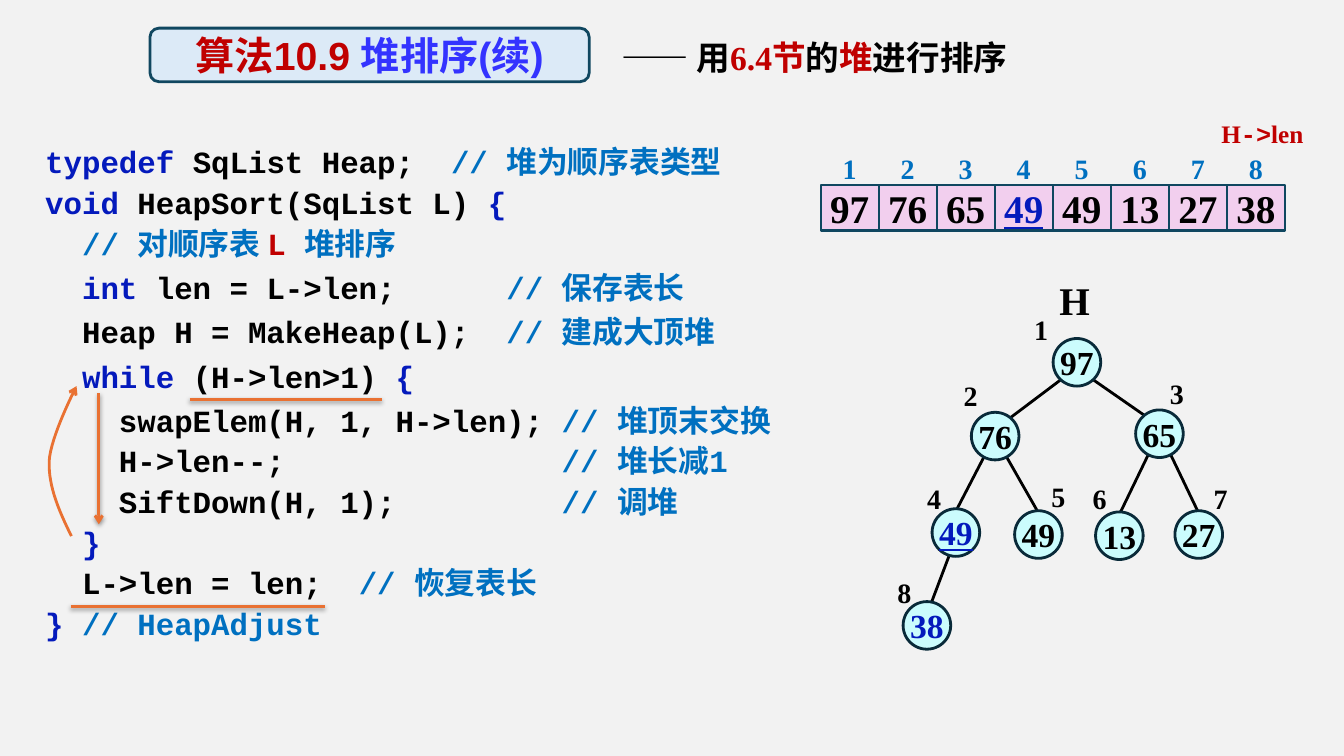
import dataclasses
import math

import lxml.etree
import pptx
import pptx.dml.color
import pptx.enum.shapes
import pptx.enum.text
import pptx.oxml.ns
import pptx.util

Cm = pptx.util.Cm
Pt = pptx.util.Pt
qn = pptx.oxml.ns.qn
Shape = pptx.enum.shapes.MSO_SHAPE
Anchor = pptx.enum.text.MSO_ANCHOR
Align = pptx.enum.text.PP_ALIGN


@dataclasses.dataclass(frozen=True)
class Theme:
    back: str = "F2F2F2"
    ink: str = "000000"
    keyword: str = "041ABC"
    note: str = "0070C0"
    accent: str = "C00000"
    heading: str = "3333FF"
    banner: str = "DCEAF7"
    border: str = "104760"
    cell: str = "F2CFEE"
    node: str = "CBFCFD"
    ring: str = "092A39"
    marker: str = "E97132"
    serif: str = "Times New Roman"
    sans: str = "Arial"
    mono: str = "Courier New"
    large: int = 28
    medium: int = 24
    code: int = 22
    index: int = 20
    small: int = 18


@dataclasses.dataclass(frozen=True)
class Box:
    left: float
    top: float
    width: float
    height: float

    def lengths(self):
        return Cm(self.left), Cm(self.top), Cm(self.width), Cm(self.height)


THEME = Theme()

CODE = [
    (1.1, [("typedef ", THEME.keyword), ("SqList Heap;  ", THEME.ink), ("// 堆为顺序表类型", THEME.note)]),
    (1.1, [("void ", THEME.keyword), ("HeapSort(SqList L) ", THEME.ink), ("{", THEME.keyword)]),
    (1.1, [("  // 对顺序表 ", THEME.note), ("L ", THEME.accent), ("堆排序", THEME.note)]),
    (1.2, [("  int ", THEME.keyword), ("len = L->len;      ", THEME.ink), ("// 保存表长", THEME.note)]),
    (1.2, [("  Heap H = MakeHeap(L);  ", THEME.ink), ("// 建成大顶堆", THEME.note)]),
    (1.2, [("  while ", THEME.keyword), ("(H->len>1) ", THEME.ink), ("{", THEME.keyword)]),
    (1.2, [("    swapElem(H, 1, H->len); ", THEME.ink), ("// 堆顶末交换", THEME.note)]),
    (1.1, [("    H->len--;               ", THEME.ink), ("// 堆长减1", THEME.note)]),
    (1.1, [("    SiftDown(H, 1);         ", THEME.ink), ("// 调堆", THEME.note)]),
    (1.1, [("  }", THEME.keyword)]),
    (1.1, [("  L->len = len;  ", THEME.ink), ("// 恢复表长", THEME.note)]),
    (1.1, [("} ", THEME.keyword), ("// HeapAdjust", THEME.note)]),
]
HEAP = ["97", "76", "65", "49", "49", "13", "27", "38"]
MARKED = 4
LAST = len(HEAP)
NODES = [(5.14, 2.13), (3.08, 3.99), (7.22, 3.93), (2.09, 6.42),
         (4.17, 6.47), (6.21, 6.5), (8.21, 6.47), (1.36, 8.76)]
INDEX_OFFSETS = [(-0.9, -0.84), (-0.62, -1.04), (0.44, -1.02), (-0.55, -0.86),
                 (0.5, -0.97), (-0.5, -0.94), (0.55, -0.91), (-0.57, -0.84)]
EDGE_ENDS = {1: (0.38, 0.42, 0.39, -0.47), 2: (0.25, 0.46, 0.03, -0.6), 3: (0.14, 0.5, 0.11, -0.57)}


def rgb(color):
    return pptx.dml.color.RGBColor.from_string(color)


def fill_para(para, spans, font, size):
    for text, color in spans:
        span = para.add_run()
        span.text = text
        span.font.name, span.font.size, span.font.bold = font, Pt(size), True
        span.font.color.rgb = rgb(color)


def prepare_frame(shape, anchor, wrap, insets):
    frame = shape.text_frame
    frame.word_wrap = wrap
    frame.vertical_anchor = anchor
    frame.margin_left, frame.margin_top, frame.margin_right, frame.margin_bottom = map(Cm, insets)
    return frame


def write(shape, spans, font, size, anchor=Anchor.MIDDLE, align=Align.CENTER, wrap=False, insets=(0, 0, 0, 0)):
    para = prepare_frame(shape, anchor, wrap, insets).paragraphs[0]
    para.alignment = align
    fill_para(para, spans, font, size)
    return para


def add_panel(page, kind, box, fill, border, width):
    shape = page.shapes.add_shape(kind, *box.lengths())
    shape.shadow.inherit = False
    shape.fill.solid()
    shape.fill.fore_color.rgb = rgb(fill)
    shape.line.color.rgb = rgb(border)
    shape.line.width = Pt(width)
    return shape


def add_label(page, x, y, text, color, size):
    box = Box(x - 0.74, y - 0.4, 1.48, 0.8)
    write(page.shapes.add_textbox(*box.lengths()), [(text, color)], THEME.serif, size)


def style_line(shape, color, arrow=False):
    shape.line.color.rgb = rgb(color)
    shape.line.width = Pt(2)
    if arrow:
        outline = shape._element.spPr.find(qn("a:ln"))
        lxml.etree.SubElement(outline, qn("a:tailEnd"), type="arrow")


def add_line(page, start, end, color, arrow=False, shadow=False):
    line = page.shapes.add_connector(pptx.enum.shapes.MSO_CONNECTOR.STRAIGHT, *map(Cm, start + end))
    style_line(line, color, arrow)
    effects = lxml.etree.SubElement(line._element.spPr, qn("a:effectLst"))
    if shadow:
        outer = lxml.etree.SubElement(effects, qn("a:outerShdw"), blurRad=str(Pt(3.1)),
                                      dist=str(Pt(1.6)), dir="5400000", rotWithShape="0")
        black = lxml.etree.SubElement(outer, qn("a:srgbClr"), val=THEME.ink)
        lxml.etree.SubElement(black, qn("a:alpha"), val="38000")


def add_heading(page, box):
    banner = add_panel(page, Shape.ROUNDED_RECTANGLE, Box(box.left, box.top, 11.07, box.height),
                       THEME.banner, THEME.border, 2)
    write(banner, [("算法10.9 ", THEME.accent), ("堆排序(续)", THEME.heading)], THEME.sans, THEME.large)
    remark = page.shapes.add_textbox(*Box(box.left + 11.64, box.top + 0.1, box.width - 11.64, 1.27).lengths())
    write(remark, [("—— 用", THEME.ink), ("6.4节", THEME.accent), ("的", THEME.ink),
                   ("堆", THEME.accent), ("进行排序", THEME.ink)], THEME.serif, THEME.medium,
          Anchor.TOP, Align.LEFT, True, (0.25, 0.13, 0.25, 0.13))


def add_code(page, box):
    shape = page.shapes.add_textbox(*box.lengths())
    frame = prepare_frame(shape, Anchor.TOP, True, (0.5, 0.13, 0.1, 0.13))
    for number, (spacing, spans) in enumerate(CODE):
        para = frame.add_paragraph() if number else frame.paragraphs[0]
        para.line_spacing = spacing
        fill_para(para, spans, THEME.mono, THEME.code)


def bezier(points, steps=16):
    for step in range(1, steps + 1):
        t = step / steps
        weights = [math.comb(3, k) * t ** k * (1 - t) ** (3 - k) for k in range(4)]
        yield tuple(sum(w * p[axis] for w, p in zip(weights, points)) for axis in (0, 1))


def add_loop_marks(page, box):
    curve = [(1.16, 10.13), (0.86, 9.52), (0.58, 8.89), (0.6, 8.25), (0.63, 7.62), (1.29, 6.35), (1.29, 6.35)]
    placed = [(box.left + x, box.top + y) for x, y in curve]
    builder = page.shapes.build_freeform(*map(Cm, placed[0]))
    dots = [*bezier(placed[:4]), *bezier(placed[3:])]
    builder.add_line_segments([(Cm(x), Cm(y)) for x, y in dots], close=False)
    arc = builder.convert_to_shape()
    arc.shadow.inherit = False
    arc.fill.background()
    style_line(arc, THEME.marker, True)
    for x1, y1, x2, y2, arrow in [(1.85, 6.53, 1.85, 9.83, True), (4.14, 6.68, 8.99, 6.68, False),
                                  (1.14, 11.9, 7.54, 11.9, False)]:
        add_line(page, (box.left + x1, box.top + y1), (box.left + x2, box.top + y2), THEME.marker, arrow, True)


def add_array(page, box):
    pitch = box.width / len(HEAP)
    for number, value in enumerate(HEAP, 1):
        left = box.left + (number - 1) * pitch
        cell = add_panel(page, Shape.RECTANGLE, Box(left, box.top + 1.7, pitch, 1.14), THEME.cell, THEME.border, 1.5)
        para = write(cell, [(value, THEME.keyword if number == MARKED else THEME.ink)], THEME.serif, THEME.large)
        para.runs[0].font.underline = number == MARKED
        add_label(page, left + pitch / 2, box.top + 1.26, str(number), THEME.note, THEME.index)
    length = page.shapes.add_textbox(*Box(box.left + 10.1, box.top, 2.1, 0.76).lengths())
    para = write(length, [(part, THEME.accent) for part in ("H", "->", "len")], THEME.serif, THEME.small,
                 Anchor.TOP, Align.LEFT, True)
    para.runs[1].font.name = THEME.mono


def add_heap(page, box):
    centres = [(box.left + x, box.top + y) for x, y in NODES]
    for child in range(2, LAST + 1):
        side = 1 if child % 2 else -1
        dx1, dy1, dx2, dy2 = EDGE_ENDS[child.bit_length() - 1]
        (px, py), (cx, cy) = centres[child // 2 - 1], centres[child - 1]
        add_line(page, (px + side * dx1, py + dy1), (cx - side * dx2, cy + dy2), THEME.ink)
    for number, (value, (x, y), (dx, dy)) in enumerate(zip(HEAP, centres, INDEX_OFFSETS), 1):
        node = add_panel(page, Shape.OVAL, Box(x - 0.6, y - 0.6, 1.2, 1.2), THEME.node, THEME.ring, 2)
        color = THEME.keyword if number in (MARKED, LAST) else THEME.ink
        para = write(node, [(value, color)], THEME.serif, THEME.medium)
        para.runs[0].font.underline = number == MARKED
        add_label(page, x + dx, y + dy, str(number), THEME.ink, THEME.index)
    add_label(page, box.left + 5.08, box.top + 0.56, "H", THEME.ink, THEME.large)


def main():
    deck = pptx.Presentation()
    deck.slide_width, deck.slide_height = Cm(33.87), Cm(19.05)
    page = deck.slides.add_slide(deck.slide_layouts[6])
    page.background.fill.solid()
    page.background.fill.fore_color.rgb = rgb(THEME.back)
    code_box = Box(0.64, 3.38, 20, 13.31)
    add_heap(page, Box(22, 7, 9.5, 9.5))
    add_array(page, Box(20.68, 2.97, 11.7, 2.84))
    add_code(page, code_box)
    add_heading(page, Box(3.78, 0.71, 23.5, 1.35))
    add_loop_marks(page, code_box)
    deck.save("out.pptx")


if __name__ == "__main__":
    main()
